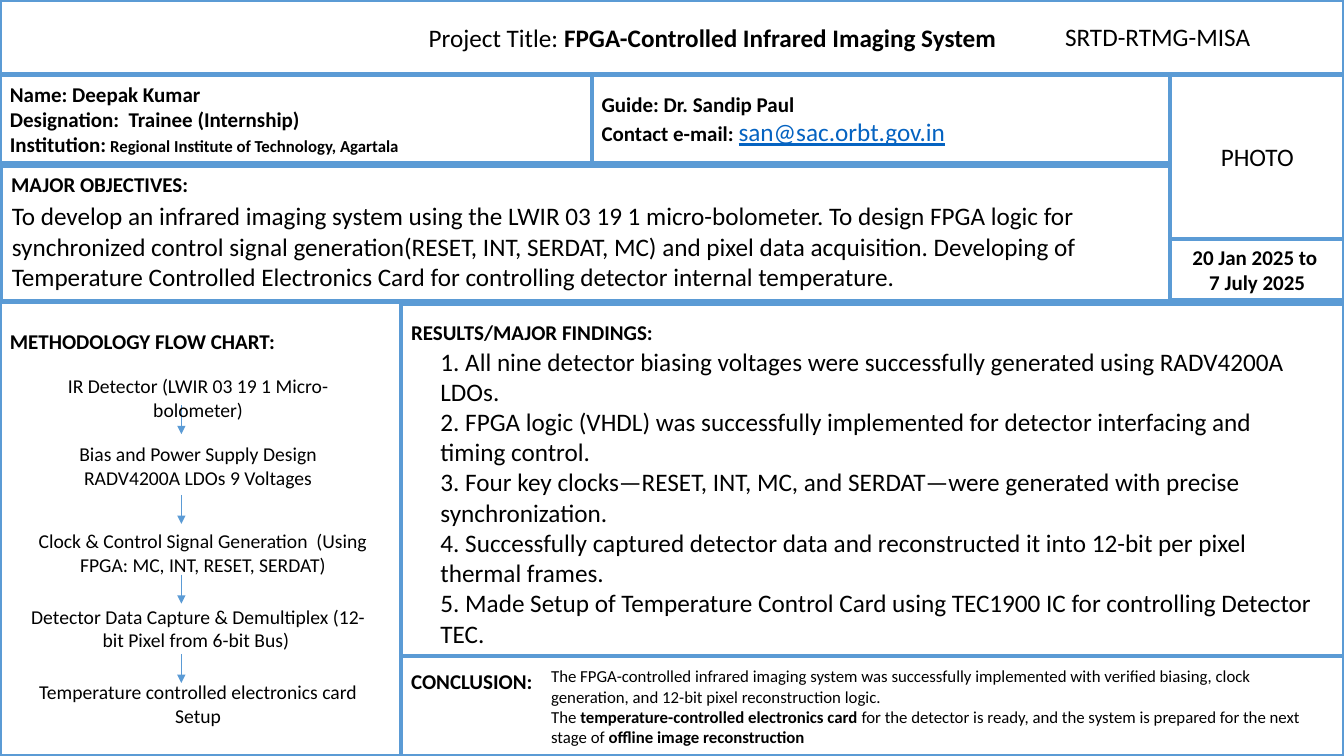
from lxml.etree import SubElement
from pptx import Presentation
from pptx.dml.color import RGBColor
from pptx.enum.shapes import MSO_CONNECTOR, MSO_SHAPE
from pptx.enum.text import MSO_ANCHOR, PP_ALIGN
from pptx.oxml.ns import qn
from pptx.util import Cm, Pt

BLUE, WHITE, BLACK, LINK = "5B9BD5", "FFFFFF", "000000", "0563C1"
LEFT, CENTER, JUSTIFY = PP_ALIGN.LEFT, PP_ALIGN.CENTER, PP_ALIGN.JUSTIFY
TOP, MIDDLE = MSO_ANCHOR.TOP, MSO_ANCHOR.MIDDLE


def rgb(hex_color):
    return RGBColor.from_string(hex_color)


def write(sp, paragraphs, size, align=LEFT, bold=False):
    """Fill a shape; a paragraph is a string or a list of (text, font overrides)."""
    tf = sp.text_frame
    tf.word_wrap = True
    for i, runs in enumerate(paragraphs):
        p = tf.add_paragraph() if i else tf.paragraphs[0]
        p.alignment = align
        for text, changes in [(runs, {})] if isinstance(runs, str) else runs:
            r = p.add_run()
            r.text = text
            font = {"name": "Calibri", "size": size, "bold": bold, "color": BLACK} | changes
            r.font.color.rgb = rgb(font.pop("color"))
            r.font.size = Pt(font.pop("size"))
            for key, value in font.items():
                setattr(r.font, key, value)


prs = Presentation()
prs.slide_width, prs.slide_height = Cm(33.87), Cm(19.05)
s = prs.slides.add_slide(prs.slide_layouts[6])

# Framed panels: box, anchor, left inset, top inset, paragraphs, size, alignment, bold
panels = [
    ((0, 1.88, 14.94, 2.24), MIDDLE, 0.25, 0.13, [
        "Name: Deepak Kumar",
        "Designation:  Trainee (Internship)",
        [("Institution:", {}), (" Regional Institute of Technology, Agartala", {"size": 12})],
    ], 15, JUSTIFY, True),
    ((0, 0, 33.87, 1.88), MIDDLE, 2.15, 0.13, [
        [(" Project Title: ", {}), ("FPGA-Controlled Infrared Imaging System", {"bold": True})],
    ], 18, CENTER, False),
    ((0.03, 4.17, 29.49, 3.43), TOP, 0.25, 0.15, ["MAJOR OBJECTIVES:"], 15, LEFT, True),
    ((29.49, 1.88, 4.39, 4.14), MIDDLE, 0.25, 0.13, ["PHOTO"], 18, CENTER, False),
    ((0, 7.62, 11.1, 11.43), TOP, 0.25, 0.65, ["METHODOLOGY FLOW CHART:"], 15, JUSTIFY, True),
    ((10.11, 7.65, 23.77, 8.99), TOP, 0.25, 0.4, ["RESULTS/MAJOR FINDINGS:"], 15, JUSTIFY, True),
    ((10.11, 16.54, 23.77, 2.51), TOP, 0.25, 0.3, ["CONCLUSION:"], 15, JUSTIFY, True),
    ((14.91, 1.88, 14.58, 2.24), MIDDLE, 0.25, 0.13, [
        "Guide: Dr. Sandip Paul",
        [("Contact e-mail: ", {}),
         ("san@sac.orbt.gov.in", {"size": 18, "bold": False, "underline": True, "color": LINK})],
    ], 15, JUSTIFY, True),
    ((29.49, 6.02, 4.39, 1.55), MIDDLE, 0.25, 0.13,
     ["20 Jan 2025 to ", "7 July 2025"], 15, CENTER, True),
]
for box, anchor, inset_left, inset_top, paragraphs, size, align, bold in panels:
    sp = s.shapes.add_shape(MSO_SHAPE.RECTANGLE, *map(Cm, box))
    sp.shadow.inherit = False
    sp.fill.solid()
    sp.fill.fore_color.rgb = rgb(WHITE)
    sp.line.color.rgb = rgb(BLUE)
    sp.line.width = Pt(3)
    tf = sp.text_frame
    tf.vertical_anchor = anchor
    tf.margin_left, tf.margin_top = Cm(inset_left), Cm(inset_top)
    write(sp, paragraphs, size, align, bold)

# Flow chart arrows
for y in (10.21, 12.47, 14.48, 16.48):
    arrow = s.shapes.add_connector(MSO_CONNECTOR.STRAIGHT, Cm(4.57), Cm(y), Cm(4.57), Cm(y + 0.73))
    arrow.line.color.rgb = rgb(BLUE)
    arrow.line.width = Pt(0.5)
    SubElement(arrow.line._get_or_add_ln(), qn("a:tailEnd"), type="triangle")
    SubElement(arrow._element.spPr, qn("a:effectLst"))

# Unframed text: box, paragraphs, size, alignment
texts = [
    ((26.59, 0.41, 5.56, 1.02), ["SRTD-RTMG-MISA"], 18, LEFT),
    ((0.46, 9.3, 9.07, 1.45), ["IR Detector (LWIR 03 19 1 Micro-bolometer)"], 14, CENTER),
    ((0.46, 11.02, 9.07, 1.45),
     ["Bias and Power Supply Design", "RADV4200A LDOs 9 Voltages"], 14, CENTER),
    ((0.58, 13.21, 9.07, 1.45),
     ["Clock & Control Signal Generation  (Using FPGA: MC, INT, RESET, SERDAT)"], 14, CENTER),
    ((0.46, 15.11, 9.07, 1.45),
     ["Detector Data Capture & Demultiplex (12-bit Pixel from 6-bit Bus) "], 14, CENTER),
    ((0.46, 17.02, 9.07, 1.45), ["Temperature controlled electronics card Setup"], 14, CENTER),
    ((0.05, 4.93, 29.39, 2.57), [
        "To develop an infrared imaging system using the LWIR 03 19 1 micro-bolometer. "
        "To design FPGA logic for synchronized control signal generation(RESET, INT, SERDAT, MC) "
        "and pixel data acquisition. Developing of Temperature Controlled Electronics Card "
        "for controlling detector internal temperature.",
    ], 18, LEFT),
    ((10.85, 8.59, 22.68, 7.95), [
        "1. All nine detector biasing voltages were successfully generated using RADV4200A LDOs.",
        "2. FPGA logic (VHDL) was successfully implemented for detector interfacing and timing control.",
        "3. Four key clocks—RESET, INT, MC, and SERDAT—were generated with precise synchronization.",
        "4. Successfully captured detector data and reconstructed it into 12-bit per pixel thermal frames.",
        "5. Made Setup of Temperature Control Card using TEC1900 IC for controlling Detector TEC.",
    ], 18, LEFT),
    ((13.64, 16.66, 20.17, 2.31), [
        "The FPGA-controlled infrared imaging system was successfully implemented with "
        "verified biasing, clock generation, and 12-bit pixel reconstruction logic.",
        [("The ", {}),
         ("temperature-controlled electronics card", {"bold": True}),
         (" for the detector is ready, and the system is prepared for the next stage of ", {}),
         ("offline image reconstruction", {"bold": True})],
    ], 12, LEFT),
]
for box, paragraphs, size, align in texts:
    write(s.shapes.add_textbox(*map(Cm, box)), paragraphs, size, align)

prs.save("out.pptx")
